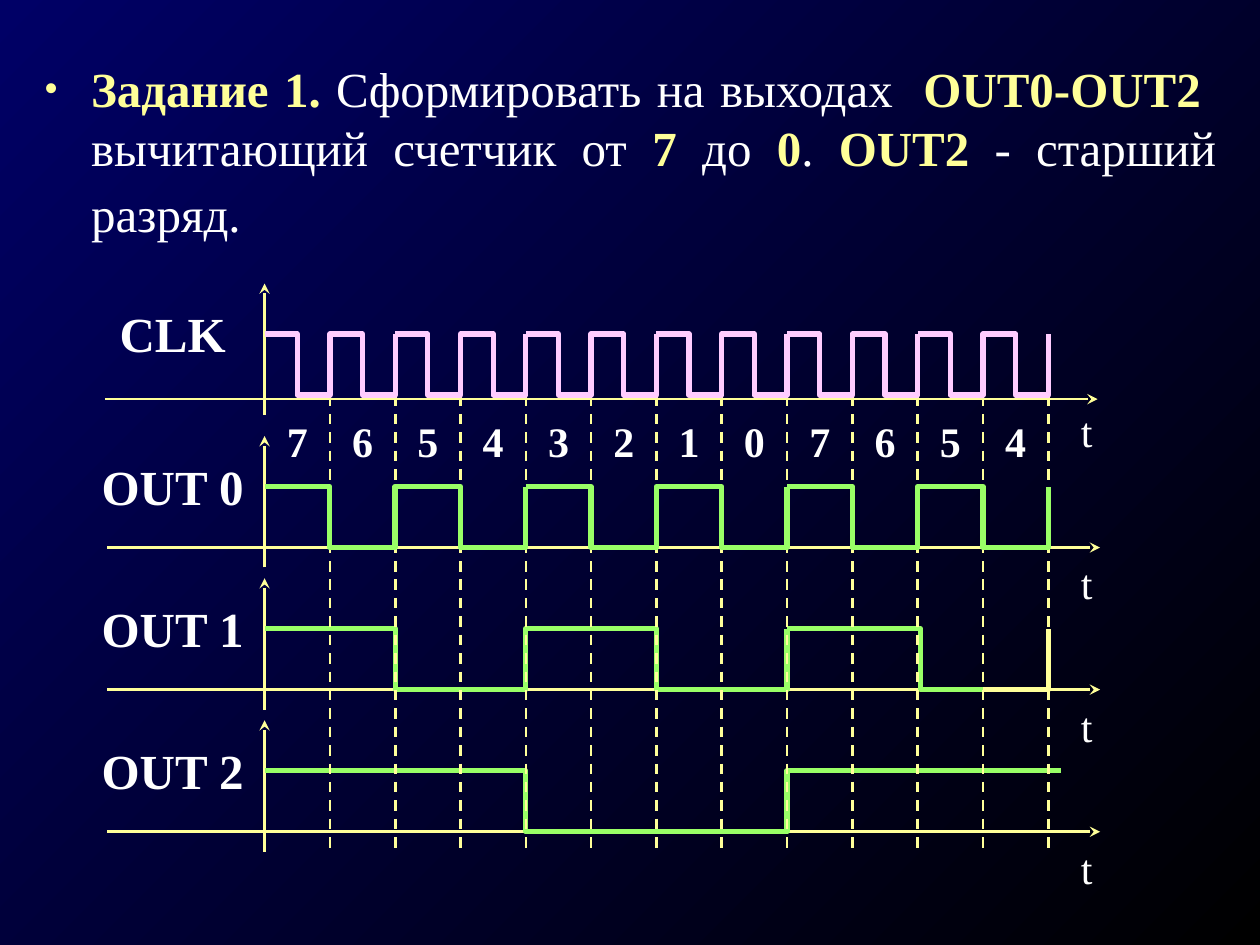
from pptx import Presentation
from pptx.dml.color import RGBColor
from pptx.enum.dml import MSO_LINE_DASH_STYLE as Dash
from pptx.enum.shapes import MSO_CONNECTOR as Connector
from pptx.enum.text import PP_ALIGN as Align
from pptx.oxml.ns import qn
from pptx.util import Pt
from lxml.etree import SubElement

SERIF = "Times New Roman"
WHITE, YELLOW, GREEN, PINK = "FFFFFF", "FFFF99", "99FF66", "FFCCFF"
ORIGIN, CELL, SWING = 151.2, 37.32, 34.8
CLK_TOP, OUT_TOP, OUT_STEP = 190.9, 278.1, 81.2
COUNTS = "765432107654"


def colour(value):
    """Turn a hex string into a colour."""
    return RGBColor.from_string(value)


def add_run(para, text, size, fill, bold=False, font=SERIF):
    """Append one formatted run."""
    span = para.add_run()
    span.text = text
    span.font.name, span.font.size, span.font.bold = font, Pt(size), bold
    span.font.color.rgb = colour(fill)


def add_label(page, text, left, top, width, size, bold=True):
    """Place a centred white label without margins."""
    box = page.shapes.add_textbox(Pt(left), Pt(top), Pt(width), Pt(29))
    frame = box.text_frame
    frame.word_wrap = True
    frame.margin_left = frame.margin_right = 0
    frame.margin_top = frame.margin_bottom = 0
    para = frame.paragraphs[0]
    para.alignment = Align.CENTER
    add_run(para, text, size, WHITE, bold)


def add_line(page, start, end, dashed=False):
    """Draw a dashed guide or an axis with an arrowhead."""
    line = page.shapes.add_connector(Connector.STRAIGHT, *map(Pt, start + end))
    line.line.color.rgb = colour(YELLOW)
    line.line.width = Pt(1.5)
    props = line.element.spPr
    if dashed:
        line.line.dash_style = Dash.DASH
    else:
        SubElement(props.find(qn("a:ln")), qn("a:tailEnd"), type="stealth")
    SubElement(props, qn("a:effectLst"))


def add_wave(page, top, start, spans, stroke=GREEN, high=True):
    """Trace alternating levels lasting the given cells; a zero ends on an edge."""
    cell, points = start, []
    for length in spans:
        y = top if high else top + SWING
        for edge in (cell, cell + length):
            point = (Pt(ORIGIN + edge * CELL), Pt(y))
            if point not in points[-1:]:
                points.append(point)
        cell, high = cell + length, not high
    builder = page.shapes.build_freeform(*points[0])
    builder.add_line_segments(points[1:], close=False)
    wave = builder.convert_to_shape()
    wave.fill.background()
    wave.line.color.rgb = colour(stroke)
    wave.line.width = Pt(3)
    wave.shadow.inherit = False


def add_row(page, name, top, waves, axis_left=61.4, axis_drop=SWING):
    """Draw the axes, waves and labels of one signal."""
    add_line(page, (ORIGIN, top + 46.2), (ORIGIN, top - 28.9))
    axis = top + axis_drop
    add_line(page, (axis_left, axis), (axis_left + 567.2, axis))
    for wave in waves:
        add_wave(page, top, *wave)
    add_label(page, name, 54, top - 17.3, 89.3, 28)
    add_label(page, "t", 606.2, top + 40.7, 29.5, 24, False)


def add_grid(page, top, bottom):
    """Draw the clock guides and the counter value of each cell."""
    for index, count in enumerate(COUNTS):
        left = ORIGIN + index * CELL
        add_label(page, count, left, top + 11.6, CELL, 24)
        add_line(page, (left + CELL, top), (left + CELL, bottom), True)


def add_task(page, left, top, width, height):
    """Write the bulleted task statement."""
    box = page.shapes.add_textbox(Pt(left), Pt(top), Pt(width), Pt(height))
    box.text_frame.word_wrap = True
    para = box.text_frame.paragraphs[0]
    para.alignment = Align.JUSTIFY
    props = para._p.get_or_add_pPr()
    props.set("marL", str(Pt(27)))
    props.set("indent", str(Pt(-27)))
    SubElement(SubElement(props, qn("a:buClr")), qn("a:srgbClr"), val=YELLOW)
    SubElement(props, qn("a:buSzPct"), val="85000")
    SubElement(props, qn("a:buFont"), typeface=SERIF)
    SubElement(props, qn("a:buChar"), char="•")
    texts = ("Задание 1.", " Сформировать на выходах  ", "OUT0-OUT2",
             "  вычитающий счетчик от ", "7", " до ", "0", ". ", "OUT2 ",
             "- старший разряд.")
    for index, text in enumerate(texts):
        key = index % 2 == 0
        add_run(para, text, 28, YELLOW if key else WHITE, key)
    add_run(para, " ", 32, WHITE, font="Arial")


def add_background(page):
    """Fill the page with a diagonal gradient."""
    fill = page.background.fill
    fill.gradient()
    fill.gradient_angle = 315
    for stop, value in zip(fill.gradient_stops, ("000066", "000000")):
        stop.color.rgb = colour(value)


def main():
    """Build the timing diagram slide."""
    deck = Presentation()
    deck.slide_width, deck.slide_height = Pt(720), Pt(540)
    page = deck.slides.add_slide(deck.slide_layouts[6])
    add_background(page)
    add_task(page, 18, 30.2, 684, 131.8)
    out_tops = [OUT_TOP + OUT_STEP * index for index in range(3)]
    add_row(page, "OUT 1", out_tops[1], [
        (0, (2, 2, 2, 2, 0)), (8, (2.04, 0.96)), (11, (1, 0), YELLOW, False)])
    add_row(page, "OUT 2", out_tops[2], [(0, (4, 4, 4.2))])
    add_grid(page, 226, 486.7)
    add_row(page, "OUT 0", out_tops[0],
            [(start, (1, 1, 1, 1, 0)) for start in range(0, 12, 4)])
    add_row(page, "CLK", CLK_TOP,
            [(start, (0.5, 0.5, 0.5, 0.5, 0), PINK) for start in range(0, 12, 2)],
            axis_left=60, axis_drop=37.2)
    deck.save("out.pptx")


if __name__ == "__main__":
    main()
